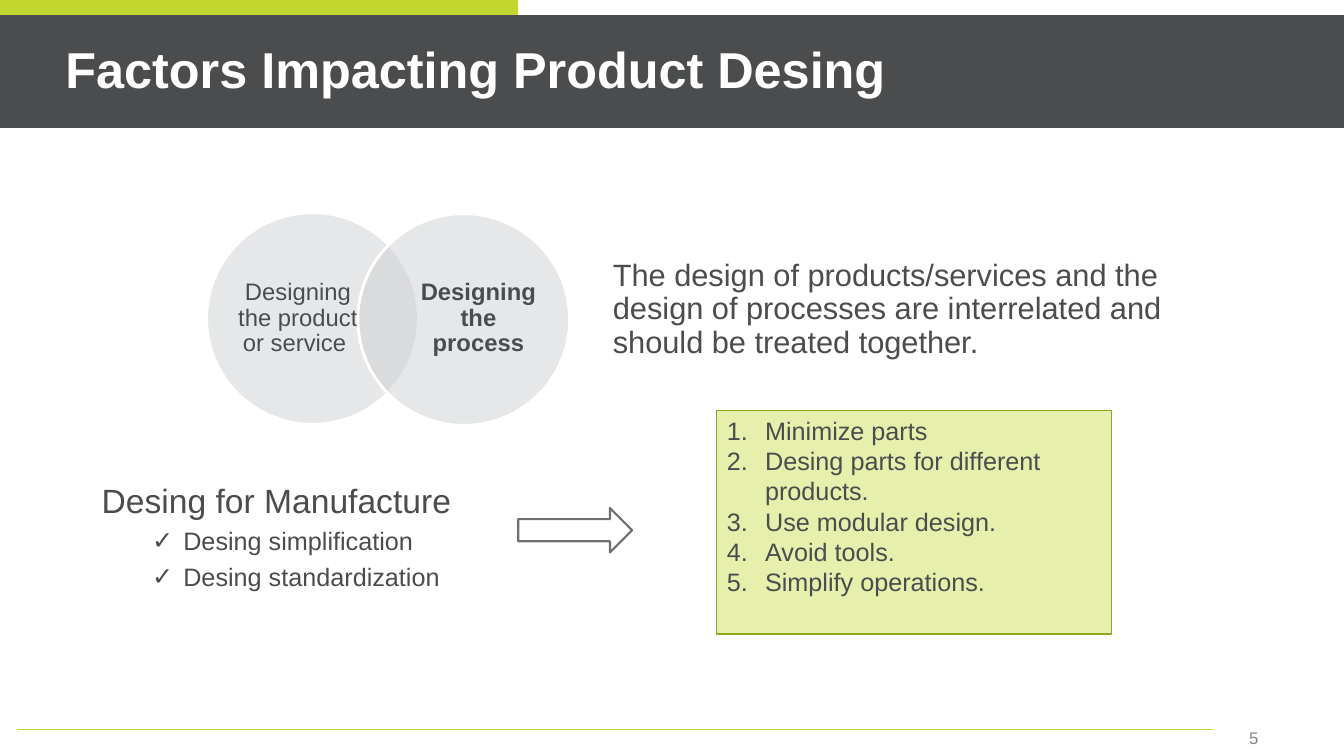
from lxml.etree import SubElement
from pptx import Presentation
from pptx.dml.color import RGBColor
from pptx.enum.shapes import MSO_CONNECTOR, MSO_SHAPE as Preset
from pptx.enum.text import MSO_ANCHOR as Anchor, PP_ALIGN as Align
from pptx.oxml.ns import qn
from pptx.util import Pt

PX = 9144
FONT = "Arial"
COLORS = {
    "lime": "C1D72F",
    "dark": "4B4C4D",
    "white": "FFFFFF",
    "number": "868787",
    "circle": "CFD0D2",
    "arrow": "707070",
    "panel": "E6EFAC",
    "panel_edge": "93A520",
}


def color(name):
    return RGBColor.from_string(COLORS[name])


def set_all(target, values):
    for name, value in values.items():
        setattr(target, name, value)


class SlideBuilder:
    def __init__(self, presentation):
        self.slide = presentation.slides.add_slide(presentation.slide_layouts[6])

    def shape(self, preset, box, fill, edge=None, width=1, alpha=None):
        shape = self.slide.shapes.add_shape(preset, *(n * PX for n in box))
        shape.shadow.inherit = False
        shape.fill.solid()
        shape.fill.fore_color.rgb = color(fill)
        if alpha:
            solid = shape.fill._xPr.find(qn("a:solidFill"))
            SubElement(solid[0], qn("a:alpha"), val=str(alpha * 1000))
        if edge:
            shape.line.color.rgb = color(edge)
            shape.line.width = Pt(width)
        else:
            shape.line.fill.background()
        return shape

    def line(self, start, end, name, width):
        connector = self.slide.shapes.add_connector(
            MSO_CONNECTOR.STRAIGHT, *(n * PX for n in start + end))
        connector.line.color.rgb = color(name)
        connector.line.width = Pt(width)
        SubElement(connector._element.spPr, qn("a:effectLst"))

    def text(self, box, text, size, ink="dark", bold=False, anchor=Anchor.TOP,
             inset=None, **layout):
        shape = self.slide.shapes.add_textbox(*(n * PX for n in box))
        frame = shape.text_frame
        set_all(frame, {"word_wrap": True, "vertical_anchor": anchor})
        if inset is not None:
            for side in ("left", "top", "right", "bottom"):
                setattr(frame, f"margin_{side}", inset * PX)
        self.paragraph(frame, text, size, ink, bold, **layout)
        return frame

    def paragraph(self, frame, text, size, ink="dark", bold=False,
                  bullet=None, indent=(0, 0), **layout):
        paragraph = frame.paragraphs[0]
        if paragraph.runs:
            paragraph = frame.add_paragraph()
        if bullet:
            tag, values = bullet
            properties = paragraph._p.get_or_add_pPr()
            properties.set("marL", str(indent[0] * PX))
            properties.set("indent", str(indent[1] * PX))
            SubElement(properties, qn("a:buFont"), typeface=FONT)
            SubElement(properties, qn(tag), **values)
        set_all(paragraph, {"alignment": Align.LEFT, **layout})
        run = paragraph.add_run()
        run.text = text
        set_all(run.font, {"name": FONT, "size": Pt(size), "bold": bold})
        run.font.color.rgb = color(ink)


def main():
    presentation = Presentation()
    set_all(presentation, {"slide_width": 1333 * PX, "slide_height": 750 * PX})
    builder = SlideBuilder(presentation)

    builder.line((17, 724), (1203, 724), "lime", 1)
    builder.text((958, 712, 300, 40), "5", 12, "number",
                 anchor=Anchor.MIDDLE, alignment=Align.RIGHT)
    builder.shape(Preset.RECTANGLE, (0, 0, 514, 15), "lime")
    builder.shape(Preset.RECTANGLE, (0, 15, 1333, 112), "dark")
    builder.text((55, 40, 1278, 64), "Factors Impacting Product Desing", 36,
                 "white", True, Anchor.MIDDLE, line_spacing=0.9)
    builder.text((598, 253, 588, 194),
                 "The design of products/services and the design of processes "
                 "are interrelated and should be treated together.",
                 22, line_spacing=0.9)

    venn = [
        ((205, 211), 235, "Designing the product or service ", False),
        ((355, 212), 414, "Designing the process", True),
    ]
    for corner, text_left, label, bold in venn:
        builder.shape(Preset.OVAL, (*corner, 210, 210), "circle", "white", 2, 50)
        builder.text((text_left, 236, 121, 160), label, 17, bold=bold,
                     anchor=Anchor.MIDDLE, inset=0,
                     alignment=Align.CENTER, line_spacing=0.9)

    manufacture = builder.text((91, 471, 479, 128), "Desing for Manufacture", 24)
    for goal in ("Desing simplification", "Desing standardization"):
        builder.paragraph(manufacture, goal, 18, bullet=("a:buChar", {"char": "✓"}),
                          indent=(81, -31), space_before=Pt(4))

    builder.shape(Preset.RIGHT_ARROW, (514, 504, 113, 44), "white", "arrow", 1.5)

    panel = builder.shape(Preset.RECTANGLE, (711, 407, 391, 222),
                          "panel", "panel_edge", 0.75)
    panel.text_frame.vertical_anchor = Anchor.TOP
    guidelines = [
        "Minimize parts",
        "Desing parts for different products.",
        "Use modular design.",
        "Avoid tools.",
        "Simplify operations.",
    ]
    for guideline in guidelines:
        builder.paragraph(panel.text_frame, guideline, 18, indent=(38, -38),
                          bullet=("a:buAutoNum", {"type": "arabicPeriod"}))

    presentation.save("out.pptx")


if __name__ == "__main__":
    main()
